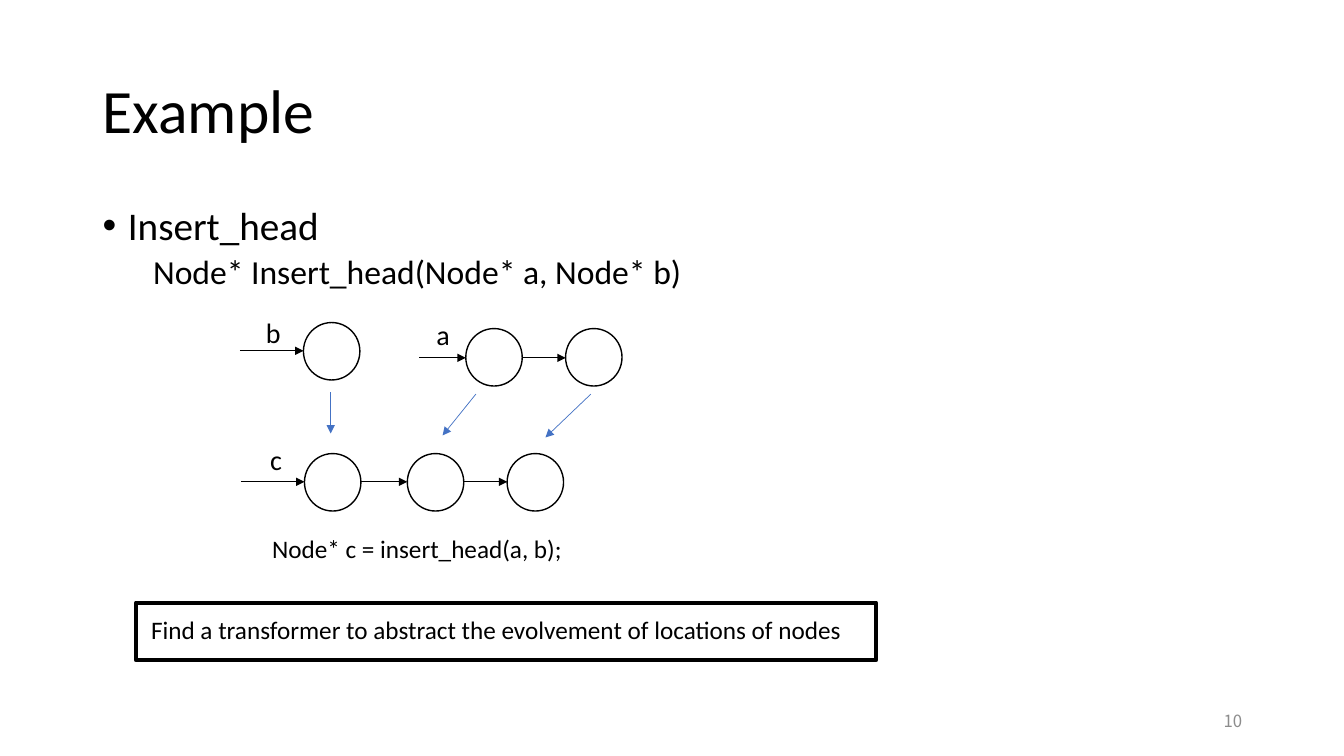
from dataclasses import dataclass

from lxml.etree import SubElement
from pptx import Presentation
from pptx.dml.color import RGBColor
from pptx.enum.shapes import MSO_CONNECTOR, MSO_SHAPE
from pptx.enum.text import MSO_ANCHOR, PP_ALIGN
from pptx.oxml.ns import qn
from pptx.util import Pt

PX = 9144  # EMU per px, 100 px to the inch
SLIDE_SIZE = (1333, 750)
NODE_WIDTH, NODE_HEIGHT = 56, 57


@dataclass(frozen=True)
class Theme:
    ink: RGBColor = RGBColor(0, 0, 0)
    accent: RGBColor = RGBColor(0x44, 0x72, 0xC4)
    muted: RGBColor = RGBColor(0x8C, 0x8C, 0x8C)
    font: str = "Calibri"
    number_font: str = "Noto Sans CJK SC"
    title: int = 44
    heading: int = 28
    signature: int = 24
    label: int = 20
    note: int = 18
    number: int = 12


THEME = Theme()

TITLE = ("Example", (92, 40, 1150, 145))
BODY = ("Insert_head", "Node* Insert_head(Node* a, Node* b)", (92, 200, 1150, 476))
CALL = ("Node* c = insert_head(a, b);", (260, 524, 313, 40))
TASK = ("Find a transformer to abstract the evolvement of locations of nodes",
        (140, 605, 707, 40))
TASK_FRAME = (135, 598, 734, 57)
PAGE_NUMBER = ("10", (942, 695, 300, 40))

# Each list: name, box of the name, left end of its pointer, centre line, left of each node
LISTS = [
    ("b", (254, 308, 44, 44), 238, 348, [301]),
    ("a", (423, 310, 44, 44), 416, 355, [462, 561]),
    ("c", (258, 434, 39, 44), 239, 478, [302, 404, 503]),
]
MOVES = [
    ((328, 389), (328, 430)),
    ((472, 391), (439, 432)),
    ((586, 391), (541, 434)),
]


def emu(lengths):
    return [length * PX for length in lengths]


def style(para, size, color=THEME.ink, font=THEME.font):
    para.font.size = Pt(size)
    para.font.name = font
    para.font.color.rgb = color


def add_text(page, text, box, size, wrap=True, anchor=MSO_ANCHOR.TOP, **look):
    frame = page.shapes.add_textbox(*emu(box)).text_frame
    frame.word_wrap = wrap
    frame.vertical_anchor = anchor
    para = frame.paragraphs[0]
    para.text = text
    style(para, size, **look)
    return frame


def add_outline(page, kind, box, weight):
    shape = page.shapes.add_shape(kind, *emu(box))
    shape.shadow.inherit = False
    shape.fill.background()
    shape.line.color.rgb = THEME.ink
    shape.line.width = Pt(weight)


def add_arrow(page, start, end, color):
    arrow = page.shapes.add_connector(MSO_CONNECTOR.STRAIGHT, *emu(start + end))
    arrow.line.color.rgb = color
    arrow.line.width = Pt(0.5)
    SubElement(arrow.line._get_or_add_ln(), qn("a:tailEnd"), type="triangle")
    SubElement(arrow._element.spPr, qn("a:effectLst"))


def add_body(page):
    heading, signature, box = BODY
    frame = add_text(page, heading, box, THEME.heading)
    first = frame.paragraphs[0]
    second = frame.add_paragraph()
    second.text = signature
    style(second, THEME.signature)
    second.space_before = Pt(5)
    for para in frame.paragraphs:
        para.line_spacing = 0.9
    properties = first._p.get_or_add_pPr()
    properties.set("marL", str(25 * PX))
    properties.set("indent", str(-25 * PX))
    bullet_font = properties.makeelement(qn("a:buFont"), {"typeface": "Arial"})
    bullet = properties.makeelement(qn("a:buChar"), {"char": "•"})
    defaults = properties.find(qn("a:defRPr"))
    defaults.addprevious(bullet_font)
    defaults.addprevious(bullet)
    second._p.get_or_add_pPr().set("marL", str(50 * PX))


def add_list(page, name, name_box, pointer_start, middle, node_lefts):
    """Draw a linked list: its name, its pointer and its chained nodes."""
    add_text(page, name, name_box, THEME.label)
    tail = pointer_start
    for left in node_lefts:
        node_box = (left, round(middle - NODE_HEIGHT / 2), NODE_WIDTH, NODE_HEIGHT)
        add_outline(page, MSO_SHAPE.OVAL, node_box, 1)
        add_arrow(page, (tail, middle), (left, middle), THEME.ink)
        tail = left + NODE_WIDTH


def main():
    deck = Presentation()
    deck.slide_width, deck.slide_height = emu(SLIDE_SIZE)
    page = deck.slides.add_slide(deck.slide_layouts[6])

    title = add_text(page, *TITLE, THEME.title, anchor=MSO_ANCHOR.MIDDLE)
    title.paragraphs[0].line_spacing = 0.9
    add_body(page)
    for linked_list in LISTS:
        add_list(page, *linked_list)
    for start, end in MOVES:
        add_arrow(page, start, end, THEME.accent)
    add_text(page, *CALL, THEME.note, wrap=False)
    add_outline(page, MSO_SHAPE.RECTANGLE, TASK_FRAME, 3)
    add_text(page, *TASK, THEME.note)
    number = add_text(page, *PAGE_NUMBER, THEME.number, anchor=MSO_ANCHOR.MIDDLE,
                      color=THEME.muted, font=THEME.number_font)
    number.paragraphs[0].alignment = PP_ALIGN.RIGHT

    deck.save("out.pptx")


if __name__ == "__main__":
    main()
